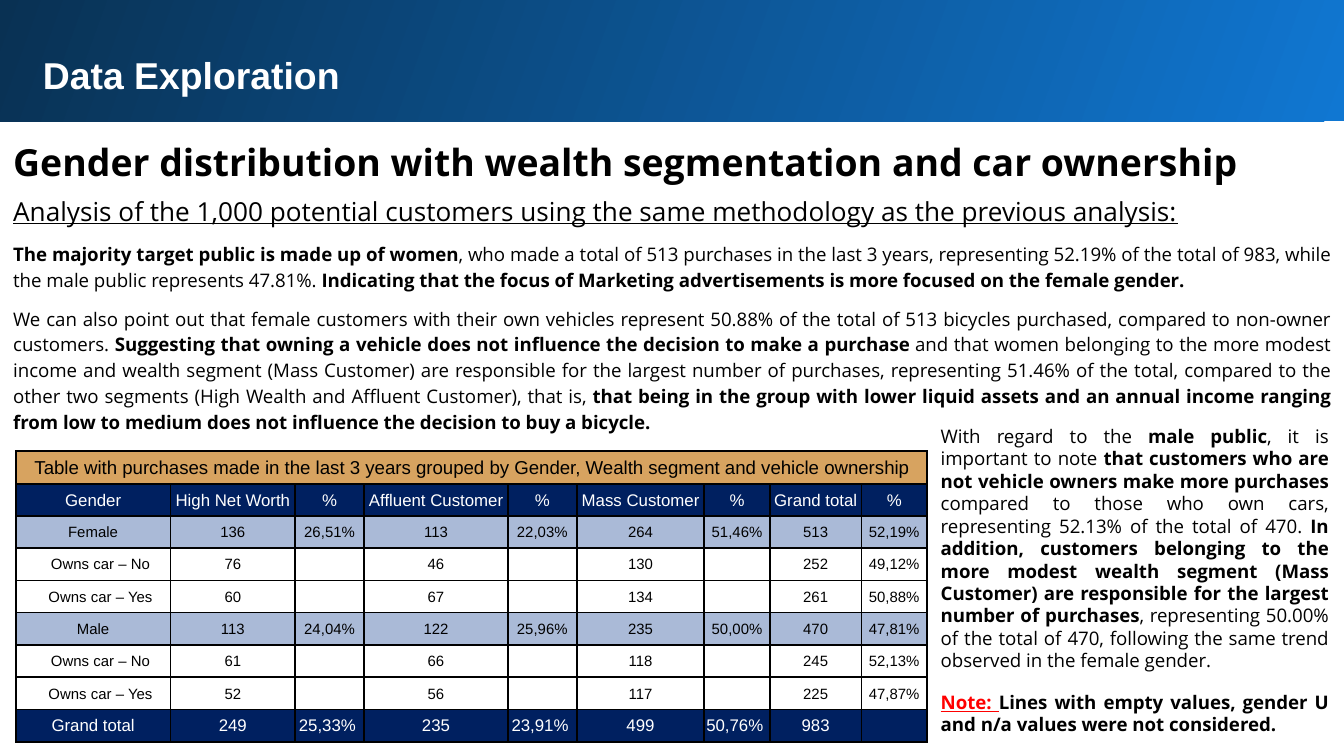
from lxml import etree
from pptx import Presentation
from pptx import util as u
from pptx.dml.color import RGBColor
from pptx.enum import shapes, text
from pptx.oxml.ns import qn

COLORS = {
    "black": "000000",
    "white": "FFFFFF",
    "red": "FF0000",
    "bright": "1077D2",
    "deep": "093153",
    "navy": "002060",
    "pale": "AABAD7",
    "sand": "D7A360",
}
COLUMN_WIDTHS = [2.92, 2.36, 1.3, 2.72, 1.3, 2.41, 1.24, 1.73, 1.24]
ROW_HEIGHTS = [0.62, 0.6] + [0.61] * 7
TABLE_ROWS = [
    ["Table with purchases made in the last 3 years grouped by Gender, "
     "Wealth segment and vehicle ownership"] + [""] * 8,
    ["Gender", "High Net Worth", "%", "Affluent Customer", "%",
     "Mass Customer", "%", "Grand total", "%"],
    ["Female", "136", "26,51%", "113", "22,03%", "264", "51,46%", "513", "52,19%"],
    ["Owns car – No", "76", "", "46", "", "130", "", "252", "49,12%"],
    ["Owns car – Yes", "60", "", "67", "", "134", "", "261", "50,88%"],
    ["Male", "113", "24,04%", "122", "25,96%", "235", "50,00%", "470", "47,81%"],
    ["Owns car – No", "61", "", "66", "", "118", "", "245", "52,13%"],
    ["Owns car – Yes", "52", "", "56", "", "117", "", "225", "47,87%"],
    ["Grand total", "249", "25,33% ", "235", "23,91% ", "499", "50,76% ", "983", ""],
]
TITLE_ROW = (10, "black", "sand")
HEADER_ROW = (9, "white", "navy")
GENDER_ROW = (8, "black", "pale")
CAR_ROW = (8, "black", None)
GENDER_GROUP = [GENDER_ROW, CAR_ROW, CAR_ROW]
ROW_STYLES = [TITLE_ROW, HEADER_ROW] + GENDER_GROUP * 2 + [HEADER_ROW]

WOMEN = (
    "**The majority target public is made up of women**, who made a total of 513 "
    "purchases in the last 3 years, representing 52.19% of the total of 983, while "
    "the male public represents 47.81%. **Indicating that the focus of Marketing "
    "advertisements is more focused on the female gender.**"
)
VEHICLES = (
    "We can also point out that female customers with their own vehicles represent "
    "50.88% of the total of 513 bicycles purchased, compared to non-owner customers. "
    "**Suggesting that owning a vehicle does not influence the decision to make a "
    "purchase **and that women belonging to the more modest income and wealth segment "
    "(Mass Customer) are responsible for the largest number of purchases, representing "
    "51.46% of the total, compared to the other two segments (High Wealth and Affluent "
    "Customer), that is, **that being in the group with lower liquid assets and an annual "
    "income ranging from low to medium does not influence the decision to buy a bicycle.**"
)
MEN = (
    "With regard to the **male public**, it is important to note **that customers who "
    "are not vehicle owners make more purchases **compared to those who own cars, "
    "representing 52.13% of the total of 470. **In addition, customers belonging to the "
    "more modest wealth segment (Mass Customer) are responsible for the largest number "
    "of purchases**, representing 50.00% of the total of 470, following the same trend "
    "observed in the female gender."
)
NOTE = "**Note: ****Lines with empty values, gender U and n/a values were not considered.**"


class SlideBuilder:
    heading_font = "Arial"
    body_font = "Open Sans"

    def __init__(self, slide):
        self.slide = slide

    def color(self, name):
        return RGBColor.from_string(COLORS[name])

    def style(self, paragraph, size, font, color="black", align=text.PP_ALIGN.LEFT):
        paragraph.alignment = align
        paragraph.font.size = u.Pt(size)
        paragraph.font.name = font
        paragraph.font.color.rgb = self.color(color)

    def frame(self, shape, inset):
        frame = shape.text_frame
        frame.word_wrap = True
        frame.vertical_anchor = text.MSO_ANCHOR.TOP
        frame.margin_left = frame.margin_right = u.Cm(inset)
        frame.margin_top = frame.margin_bottom = u.Cm(inset)
        return frame

    def title(self, wording, left, top, width, height):
        title = self.slide.shapes.title
        title.left, title.top = u.Cm(left), u.Cm(top)
        title.width, title.height = u.Cm(width), u.Cm(height)
        frame = self.frame(title, 0.25)
        frame.auto_size = text.MSO_AUTO_SIZE.NONE
        frame.text = wording
        paragraph = frame.paragraphs[0]
        self.style(paragraph, 20, self.heading_font, "white")
        paragraph.font.bold = True

    def banner(self, left, top, width, height):
        banner = self.slide.shapes.add_shape(
            shapes.MSO_SHAPE.RECTANGLE, u.Cm(left), u.Cm(top), u.Cm(width), u.Cm(height))
        banner.shadow.inherit = False
        banner.line.fill.background()
        banner.fill.gradient()
        banner.fill.gradient_angle = 160
        for stop, position, name in zip(banner.fill.gradient_stops, (0, 1), ("bright", "deep")):
            stop.position = position
            stop.color.rgb = self.color(name)
        self.slide.shapes.title.element.addprevious(banner.element)

    def text_box(self, left, top, width, height, inset=0.25):
        box = self.slide.shapes.add_textbox(u.Cm(left), u.Cm(top), u.Cm(width), u.Cm(height))
        return self.frame(box, inset)

    def rich_text(self, paragraph, wording, size=10, align=text.PP_ALIGN.JUSTIFY, spacing=1.15):
        self.style(paragraph, size, self.body_font, align=align)
        paragraph.line_spacing = spacing
        for index, part in enumerate(wording.split("**")):
            if part:
                run = paragraph.add_run()
                run.text = part
                run.font.bold = index % 2 == 1
        return paragraph

    def cell(self, cell, wording, size, color, fill, indent):
        cell.vertical_anchor = text.MSO_ANCHOR.MIDDLE
        cell.margin_left = u.Cm(indent)
        cell.margin_top = cell.margin_right = u.Cm(0.02)
        cell.margin_bottom = 0
        cell.text = wording
        self.style(cell.text_frame.paragraphs[0], size, self.heading_font, color,
                   text.PP_ALIGN.CENTER)
        properties = cell._tc.get_or_add_tcPr()
        for side in ("a:lnL", "a:lnR", "a:lnT", "a:lnB"):
            border = etree.SubElement(properties, qn(side), w=str(u.Pt(1)))
            solid = etree.SubElement(border, qn("a:solidFill"))
            etree.SubElement(solid, qn("a:srgbClr"), val=COLORS["black"])
        if fill:
            cell.fill.solid()
            cell.fill.fore_color.rgb = self.color(fill)
        else:
            cell.fill.background()

    def table(self, rows, styles, left, top):
        table = self.slide.shapes.add_table(
            len(rows), len(COLUMN_WIDTHS), u.Cm(left), u.Cm(top),
            u.Cm(sum(COLUMN_WIDTHS)), u.Cm(sum(ROW_HEIGHTS))).table
        table.first_row = table.horz_banding = False
        for column, width in zip(table.columns, COLUMN_WIDTHS):
            column.width = u.Cm(width)
        for row, height in zip(table.rows, ROW_HEIGHTS):
            row.height = u.Cm(height)
        for row, wordings, style in zip(table.rows, rows, styles):
            for index, wording in enumerate(wordings):
                indent = 0.3 if style == CAR_ROW and index == 0 else 0.02
                self.cell(row.cells[index], wording, *style, indent)
        table.cell(0, 0).merge(table.cell(0, len(COLUMN_WIDTHS) - 1))


def main():
    presentation = Presentation()
    presentation.slide_width = u.Cm(25.4)
    presentation.slide_height = u.Cm(14.29)
    builder = SlideBuilder(presentation.slides.add_slide(presentation.slide_layouts[5]))

    builder.title("Data Exploration", 0.56, 0.74, 23.8, 1.37)
    builder.banner(-0.05, -0.05, 25.5, 2.34)

    heading = builder.text_box(0, 2.26, 23.8, 1.42)
    builder.rich_text(
        heading.paragraphs[0],
        "**Gender distribution with wealth segmentation and car ownership**",
        20, text.PP_ALIGN.LEFT)

    analysis = builder.text_box(0, 3.35, 25.4, 5.36)
    subtitle = builder.rich_text(
        analysis.paragraphs[0],
        "Analysis of the 1,000 potential customers using the same methodology "
        "as the previous analysis:", 14, text.PP_ALIGN.LEFT)
    subtitle.font.underline = True
    for wording in (WOMEN, VEHICLES):
        paragraph = builder.rich_text(analysis.add_paragraph(), wording)
        paragraph.space_before = u.Pt(7)

    builder.table(TABLE_ROWS, ROW_STYLES, 0.3, 8.53)

    men = builder.text_box(17.65, 7.9, 7.59, 4.95, 0.13)
    builder.rich_text(men.paragraphs[0], MEN, spacing=1.0)

    note = builder.text_box(17.65, 12.93, 7.59, 1.12, 0.13)
    label = builder.rich_text(note.paragraphs[0], NOTE, spacing=1.0).runs[0]
    label.font.underline = True
    label.font.color.rgb = builder.color("red")

    presentation.save("out.pptx")


if __name__ == "__main__":
    main()
